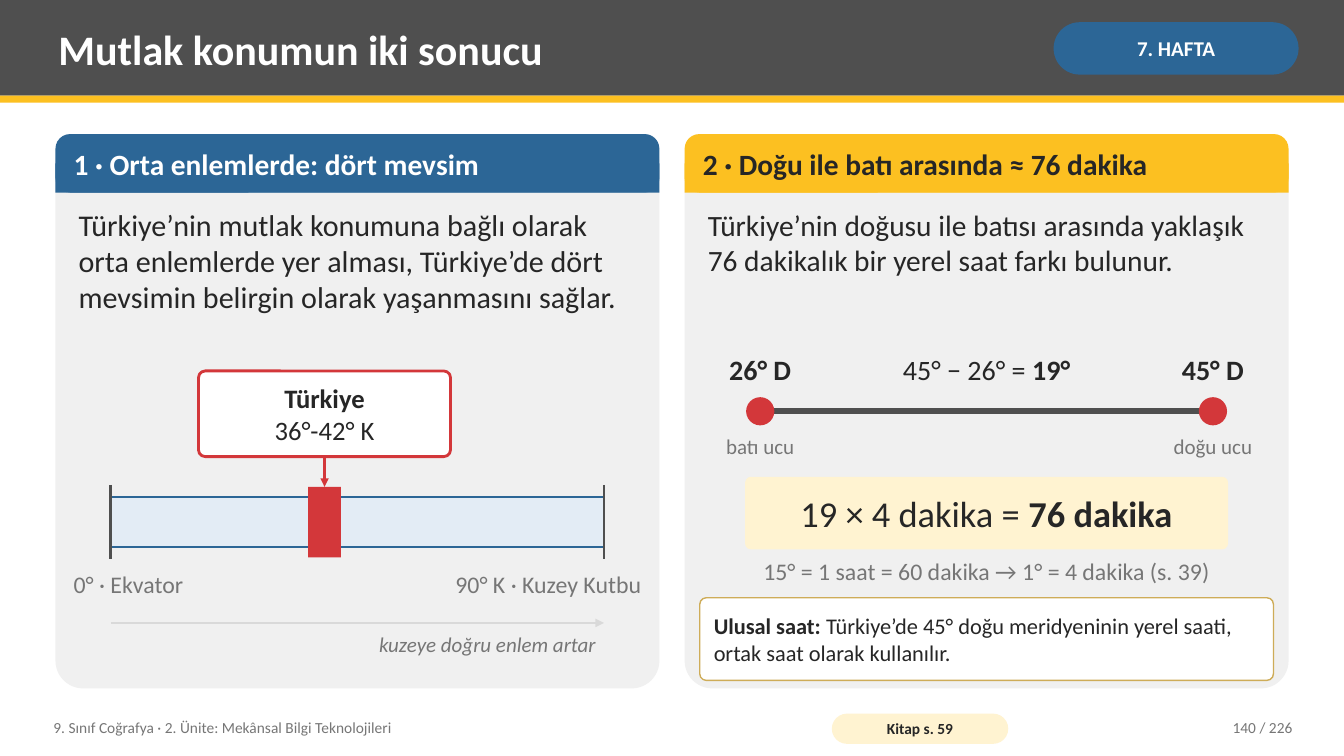
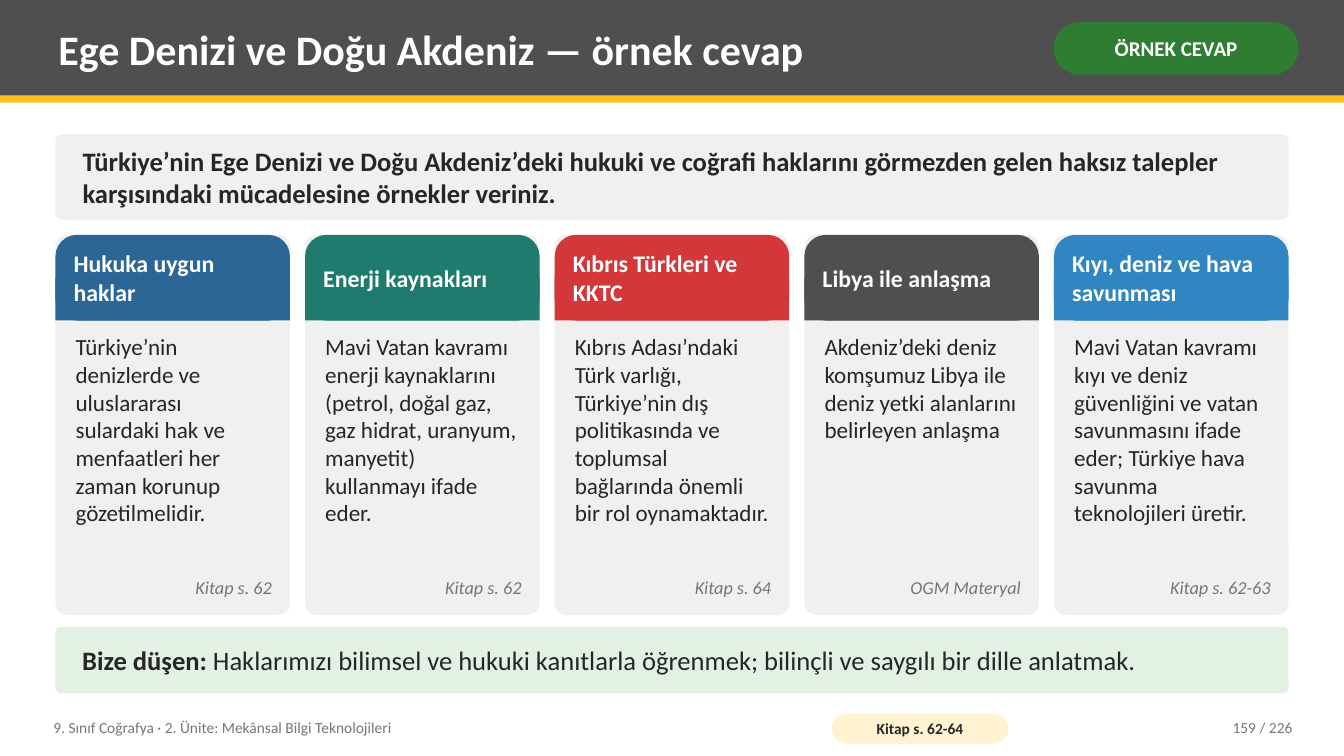
from lxml import etree
from pptx import Presentation
from pptx.dml.color import RGBColor
from pptx.enum.shapes import MSO_CONNECTOR, MSO_SHAPE
from pptx.enum.text import MSO_ANCHOR, PP_ALIGN
from pptx.oxml.ns import qn
from pptx.util import Inches, Pt

RECT, ROUND, OVAL = MSO_SHAPE.RECTANGLE, MSO_SHAPE.ROUNDED_RECTANGLE, MSO_SHAPE.OVAL
STRAIGHT = MSO_CONNECTOR.STRAIGHT
LEFT, CENTER, RIGHT = PP_ALIGN.LEFT, PP_ALIGN.CENTER, PP_ALIGN.RIGHT
TOP, MIDDLE = MSO_ANCHOR.TOP, MSO_ANCHOR.MIDDLE

FONT = "Calibri"
WHITE, INK, GREY, DARK = "FFFFFF", "262626", "767676", "4F4F4F"
PANEL, SILVER = "F0F0F0", "D9D9D9"
BLUE, SKY, PALE_BLUE = "2C6696", "2F86C0", "E3ECF5"
YELLOW, CREAM, GOLD = "FCC021", "FFF3D1", "CEAC58"
RED, TEAL, GREEN, PALE_GREEN = "D3373A", "1E7B6E", "2E7D32", "E3F1E4"

SLIDE_W, SLIDE_H = 13.33, 7.5
MARGIN, CONTENT_TOP, CONTENT_W = 0.55, 1.33, 12.23
PAGES = 226
FOOTER = "9. Sınıf Coğrafya · 2. Ünite: Mekânsal Bilgi Teknolojileri"


def rgb(color):
    return RGBColor.from_string(color)


def columns(count, gap):
    """Return the left edges and the common width of equal columns."""
    width = (CONTENT_W - gap * (count - 1)) / count
    return [MARGIN + i * (width + gap) for i in range(count)], width


class Deck:
    def __init__(self):
        self.prs = Presentation()
        self.prs.slide_width = Inches(SLIDE_W)
        self.prs.slide_height = Inches(SLIDE_H)
        self.s = None

    def slide(self, title, tag, tag_color, source, page):
        """Add a slide with the shared header and footer."""
        self.s = self.prs.slides.add_slide(self.prs.slide_layouts[6])
        self.shape(RECT, 0, 0, SLIDE_W, 0.95, DARK)
        self.shape(RECT, 0, 0.95, SLIDE_W, 0.07, YELLOW)
        self.text(0.5, 0.07, 9.75, 0.82, title, 30, WHITE, bold=True, anchor=MIDDLE)
        self.pill(10.45, 0.22, 2.43, 0.52, tag_color, tag, 15, WHITE)
        self.text(0.45, 7.04, 7.6, 0.36, FOOTER, 11, GREY, anchor=MIDDLE)
        self.pill(8.25, 7.08, 1.75, 0.3, CREAM, source, 11, INK)
        self.text(11.3, 7.04, 1.6, 0.36, f"{page} / {PAGES}", 11, GREY, RIGHT,
                  anchor=MIDDLE)

    def set_text(self, sp, text, size, color=INK, align=LEFT, bold=False, italic=False,
                 anchor=TOP, inset=(0.08, 0.04)):
        """Fill a shape; lines become paragraphs, ** marks bold parts."""
        tf = sp.text_frame
        tf.word_wrap = True
        tf.vertical_anchor = anchor
        tf.margin_left = tf.margin_right = Inches(inset[0])
        tf.margin_top = tf.margin_bottom = Inches(inset[1])
        for i, line in enumerate(text.split("\n")):
            p = tf.add_paragraph() if i else tf.paragraphs[0]
            p.alignment = align
            for j, part in enumerate(line.split("**")):
                if not part:
                    continue
                r = p.add_run()
                r.text = part
                r.font.name, r.font.size = FONT, Pt(size)
                r.font.bold = bold or j % 2 == 1
                r.font.italic = italic
                r.font.color.rgb = rgb(color)

    def text(self, x, y, w, h, text, size, color=INK, align=LEFT, **style):
        sp = self.s.shapes.add_textbox(Inches(x), Inches(y), Inches(w), Inches(h))
        self.set_text(sp, text, size, color, align, **style)

    def shape(self, kind, x, y, w, h, fill, line=None, weight=1, radius=None):
        sp = self.s.shapes.add_shape(kind, Inches(x), Inches(y), Inches(w), Inches(h))
        sp.shadow.inherit = False
        sp.fill.solid()
        sp.fill.fore_color.rgb = rgb(fill)
        if line:
            sp.line.color.rgb = rgb(line)
            sp.line.width = Pt(weight)
        else:
            sp.line.fill.background()
        if radius is not None:
            sp.adjustments[0] = radius
        return sp

    def box(self, x, y, w, h, fill, text, size, align=LEFT, inset=(0.14, 0.02),
            line=None, weight=1, bold=False):
        """Add a slightly rounded box with text."""
        sp = self.shape(ROUND, x, y, w, h, fill, line, weight, radius=0.08)
        self.set_text(sp, text, size, INK, align, bold, anchor=MIDDLE, inset=inset)
        return sp

    def pill(self, x, y, w, h, fill, text, size, color):
        sp = self.shape(ROUND, x, y, w, h, fill, radius=0.5)
        self.set_text(sp, text, size, color, CENTER, True, anchor=MIDDLE,
                      inset=(0.05, 0))

    def card(self, x, y, w, h, head_h, fill, title, size, color=WHITE):
        """Add a panel whose coloured heading is rounded only at the top."""
        self.shape(ROUND, x, y, w, h, PANEL, radius=0.05)
        self.shape(ROUND, x, y, w, head_h, fill, radius=0.25)
        self.shape(RECT, x, y + head_h / 2, w, head_h / 2, fill)
        self.text(x + 0.1, y, w - 0.2, head_h, title, size, color, bold=True,
                  anchor=MIDDLE)

    def line(self, x1, y1, x2, y2, color, weight=2, arrow=False):
        cn = self.s.shapes.add_connector(STRAIGHT, Inches(x1), Inches(y1),
                                         Inches(x2), Inches(y2))
        cn.line.color.rgb = rgb(color)
        cn.line.width = Pt(weight)
        props = cn._element.spPr
        if arrow:
            etree.SubElement(props.find(qn("a:ln")), qn("a:tailEnd"), type="triangle")
        etree.SubElement(props, qn("a:effectLst"))
        return cn


def latitude_card(d, x, w):
    d.card(x, CONTENT_TOP, w, 5.5, 0.58, BLUE, "1 · Orta enlemlerde: dört mevsim", 21)
    d.text(x + 0.15, 2.01, w - 0.3, 1.5,
           "Türkiye’nin mutlak konumuna bağlı olarak orta enlemlerde yer alması, "
           "Türkiye’de dört mevsimin belirgin olarak yaşanmasını sağlar.", 21.5)

    scale_x, scale_w = x + 0.55, w - 1.1
    scale_end = scale_x + scale_w
    south, north = (scale_x + scale_w * degree / 90 for degree in (36, 42))
    middle = (south + north) / 2
    d.shape(RECT, scale_x, 4.93, scale_w, 0.5, PALE_BLUE, BLUE, 1.25)
    marker = d.shape(RECT, south, 4.83, north - south, 0.7, RED)
    for end_x, label_x, label, align in (
            (scale_x, x + 0.1, "0° · Ekvator", LEFT),
            (scale_end, x + w - 2.5, "90° K · Kuzey Kutbu", RIGHT)):
        d.line(end_x, 4.81, end_x, 5.55, DARK)
        d.text(label_x, 5.61, 2.4, 0.42, label, 17, GREY, align)

    callout = d.box(middle - 1.25, 3.68, 2.5, 0.85, WHITE, "**Türkiye**\n36°-42° K", 19,
                    CENTER, line=RED, weight=2)
    pointer = d.line(middle, 4.53, middle, 4.83, RED, arrow=True)
    pointer.begin_connect(callout, 2)
    pointer.end_connect(marker, 0)
    d.line(scale_x, 6.18, scale_end, 6.18, SILVER, arrow=True)
    d.text(scale_x, 6.23, scale_w, 0.4, "kuzeye doğru enlem artar", 15, GREY, RIGHT,
           italic=True)


def time_card(d, x, w):
    d.card(x, CONTENT_TOP, w, 5.5, 0.58, YELLOW,
           "2 · Doğu ile batı arasında ≈ 76 dakika", 21, INK)
    inner_x, inner_w = x + 0.15, w - 0.3
    d.text(inner_x, 2.01, inner_w, 1.1,
           "Türkiye’nin doğusu ile batısı arasında yaklaşık 76 dakikalık bir yerel "
           "saat farkı bulunur.", 21)

    west, east, axis_y, dot = x + 0.75, x + w - 0.75, 4.08, 0.28
    d.line(west, axis_y, east, axis_y, DARK, 4)
    for end_x, meridian, label in ((west, "26° D", "batı ucu"),
                                   (east, "45° D", "doğu ucu")):
        d.shape(OVAL, end_x - dot / 2, axis_y - dot / 2, dot, dot, RED)
        d.text(end_x - 0.8, 3.46, 1.6, 0.42, meridian, 20, INK, CENTER, bold=True)
        d.text(end_x - 0.8, 4.26, 1.6, 0.36, label, 15, GREY, CENTER)
    d.text((west + east) / 2 - 1.6, 3.46, 3.2, 0.42, "45° − 26° = **19°**", 20, INK,
           CENTER)

    d.box(x + 0.6, 4.73, w - 1.2, 0.72, CREAM, "19 × 4 dakika = **76 dakika**", 26, CENTER)
    d.text(inner_x, 5.48, inner_w, 0.42,
           "15° = 1 saat = 60 dakika → 1° = 4 dakika (s. 39)", 17, GREY, CENTER)
    d.box(inner_x, 5.93, inner_w, 0.82, WHITE,
          "**Ulusal saat:** Türkiye’de 45° doğu meridyeninin yerel saati, ortak saat "
          "olarak kullanılır.", 16, inset=(0.12, 0.08), line=GOLD)


def location_slide(d):
    d.slide("Mutlak konumun iki sonucu", "7. HAFTA", BLUE, "Kitap s. 59", 140)
    (left, right), w = columns(2, 0.25)
    latitude_card(d, left, w)
    time_card(d, right, w)


def answer_slide(d):
    d.slide("Ege Denizi ve Doğu Akdeniz — örnek cevap", "ÖRNEK CEVAP", GREEN,
            "Kitap s. 62-64", 159)
    d.box(MARGIN, CONTENT_TOP, CONTENT_W, 0.85, PANEL,
          "Türkiye’nin Ege Denizi ve Doğu Akdeniz’deki hukuki ve coğrafi haklarını "
          "görmezden gelen haksız talepler karşısındaki mücadelesine örnekler veriniz.",
          19, inset=(0.25, 0.08), bold=True)
    answers = (
        (BLUE, "Hukuka uygun haklar", "Kitap s. 62",
         "Türkiye’nin denizlerde ve uluslararası sulardaki hak ve menfaatleri her zaman "
         "korunup gözetilmelidir."),
        (TEAL, "Enerji kaynakları", "Kitap s. 62",
         "Mavi Vatan kavramı enerji kaynaklarını (petrol, doğal gaz, gaz hidrat, uranyum, "
         "manyetit) kullanmayı ifade eder."),
        (RED, "Kıbrıs Türkleri ve KKTC", "Kitap s. 64",
         "Kıbrıs Adası’ndaki Türk varlığı, Türkiye’nin dış politikasında ve toplumsal "
         "bağlarında önemli bir rol oynamaktadır."),
        (DARK, "Libya ile anlaşma", "OGM Materyal",
         "Akdeniz’deki deniz komşumuz Libya ile deniz yetki alanlarını belirleyen anlaşma"),
        (SKY, "Kıyı, deniz ve hava savunması", "Kitap s. 62-63",
         "Mavi Vatan kavramı kıyı ve deniz güvenliğini ve vatan savunmasını ifade eder; "
         "Türkiye hava savunma teknolojileri üretir."),
    )
    lefts, w = columns(len(answers), 0.15)
    for x, (fill, title, source, body) in zip(lefts, answers):
        d.card(x, 2.33, w, 3.77, 0.85, fill, title, 17)
        d.text(x + 0.12, 3.26, w - 0.24, 2.76, body, 16.5)
        d.text(x + 0.1, 5.68, w - 0.2, 0.36, source, 13, GREY, RIGHT, italic=True)
    d.box(MARGIN, 6.22, CONTENT_W, 0.66, PALE_GREEN,
          "**Bize düşen:** Haklarımızı bilimsel ve hukuki kanıtlarla öğrenmek; bilinçli "
          "ve saygılı bir dille anlatmak.", 19, inset=(0.25, 0.08))


def main():
    d = Deck()
    location_slide(d)
    answer_slide(d)
    d.prs.save("out.pptx")


if __name__ == "__main__":
    main()
